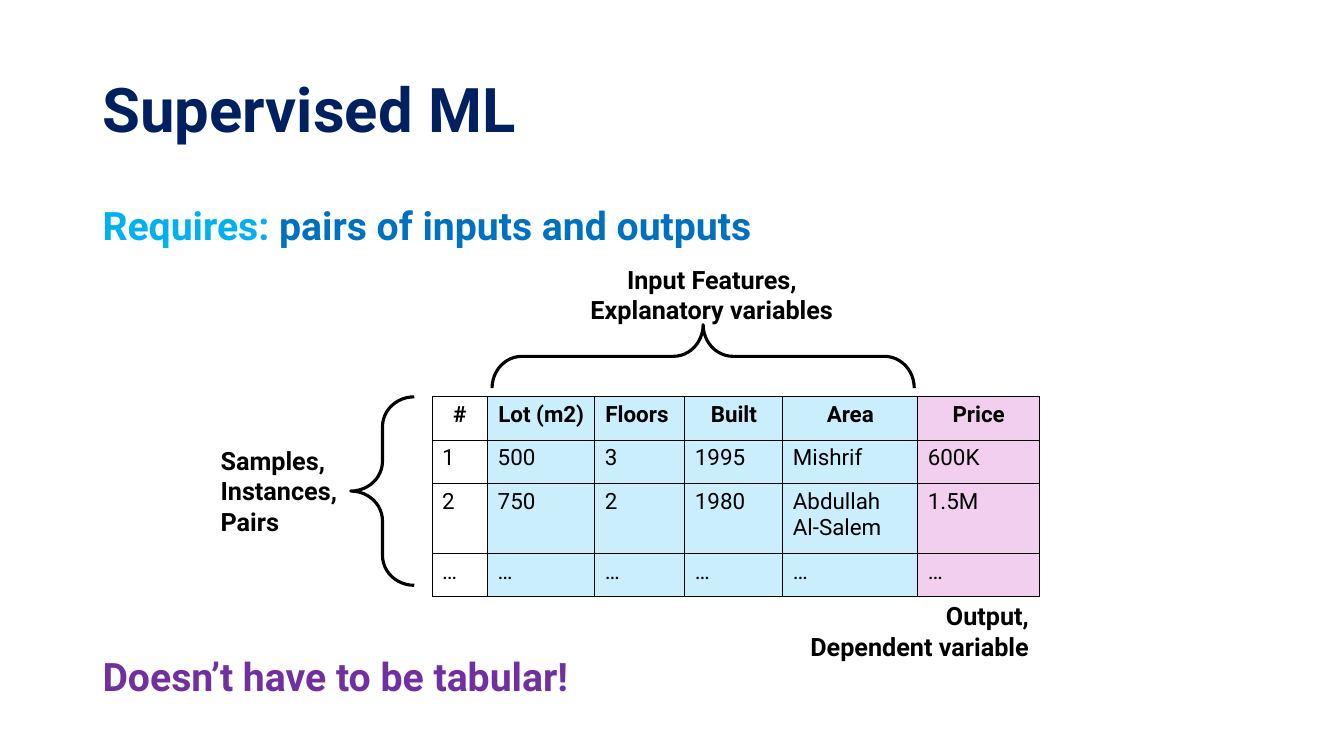
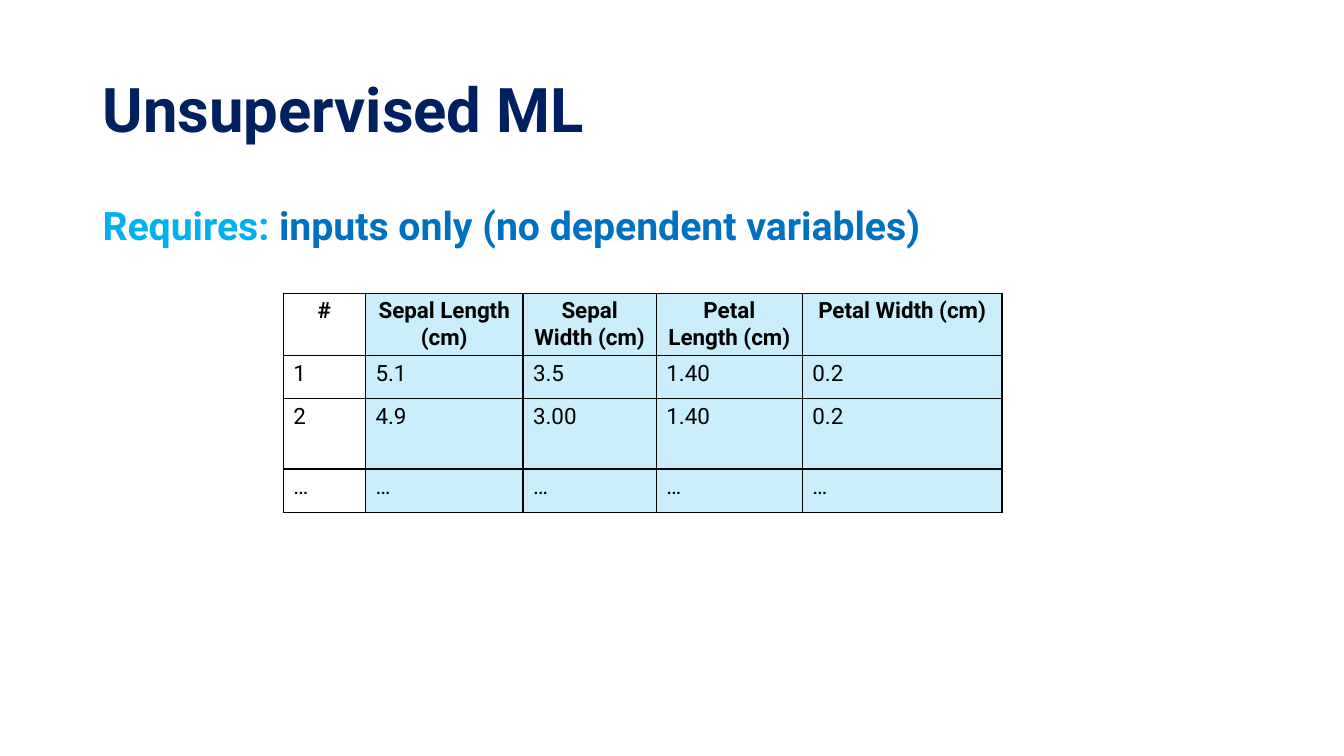
from lxml import etree
from pptx import Presentation
from pptx.dml.color import RGBColor
from pptx.enum import shapes, text
from pptx.oxml.ns import qn
from pptx.util import Cm, Pt

COLORS = {
    "title": "002060", "lead": "00B0F0", "statement": "0070C0",
    "remark": "7030A0", "ink": "000000", "input": "CAEEFB", "output": "F2CFEE",
}
FONT = "Roboto"
LEFT, CENTER, RIGHT = text.PP_ALIGN.LEFT, text.PP_ALIGN.CENTER, text.PP_ALIGN.RIGHT

# Formats shared by both slides
TITLE_BOX = (2.33, 1.01, 29.21, 3.67)
TITLE_FORMAT = {"alignment": LEFT, "line_spacing": 0.9}
BODY_FORMAT = {"alignment": LEFT, "line_spacing": 0.9, "space_before": Pt(10)}
FRAME_FORMAT = {"word_wrap": True, "auto_size": text.MSO_AUTO_SIZE.NONE}
TABLE_FORMAT = {"first_row": False, "horz_banding": False}


def rgb(name):
    return RGBColor.from_string(COLORS[name])


def apply(target, values):
    for attribute, value in values.items():
        setattr(target, attribute, value)


def place(shape, box):
    apply(shape, dict(zip(("left", "top", "width", "height"), map(Cm, box))))


def add_run(paragraph, words, size, color="ink", bold=True):
    run = paragraph.add_run()
    run.text = words
    apply(run.font, {"name": FONT, "size": Pt(size), "bold": bold})
    run.font.color.rgb = rgb(color)


def fill_title(slide, words):
    title = slide.shapes.title
    place(title, TITLE_BOX)
    apply(title.text_frame, FRAME_FORMAT)
    title.text_frame.vertical_anchor = text.MSO_ANCHOR.MIDDLE
    paragraph = title.text_frame.paragraphs[0]
    apply(paragraph, TITLE_FORMAT)
    add_run(paragraph, words, 44, "title")


def format_body_line(paragraph):
    apply(paragraph, BODY_FORMAT)
    properties = paragraph._p.get_or_add_pPr()
    properties.set("marL", "0")
    properties.set("indent", "0")
    etree.SubElement(properties, qn("a:buNone"))


def fill_body(slide, requirement, height, remark=None):
    body = slide.placeholders[1]
    place(body, (2.33, 5.08, 29.21, height))
    frame = body.text_frame
    apply(frame, FRAME_FORMAT)
    statement = frame.paragraphs[0]
    format_body_line(statement)
    add_run(statement, "Requires: ", 28, "lead")
    add_run(statement, requirement, 28, "statement")
    if remark:
        closing = frame.add_paragraph()
        format_body_line(closing)
        closing.space_before = Pt(292)  # leaves room for the table
        add_run(closing, remark, 28, "remark")


def add_borders(cell):
    properties = cell._tc.get_or_add_tcPr()
    for side in ("lnL", "lnR", "lnT", "lnB"):
        border = etree.SubElement(properties, qn(f"a:{side}"), w=str(Pt(1)))
        solid = etree.SubElement(border, qn("a:solidFill"))
        etree.SubElement(solid, qn("a:srgbClr"), val=COLORS["ink"])


def add_data_table(slide, corner, widths, heights, rows, fills):
    box = map(Cm, (*corner, sum(widths), sum(heights)))
    table = slide.shapes.add_table(len(rows), len(widths), *box).table
    apply(table, TABLE_FORMAT)
    for column, width in zip(table.columns, widths):
        column.width = Cm(width)
    for r, (height, values) in enumerate(zip(heights, rows)):
        table.rows[r].height = Cm(height)
        for c, (value, fill) in enumerate(zip(values, fills)):
            cell = table.cell(r, c)
            add_borders(cell)
            if fill:
                cell.fill.solid()
                cell.fill.fore_color.rgb = rgb(fill)
            else:
                cell.fill.background()
            paragraph = cell.text_frame.paragraphs[0]
            paragraph.alignment = LEFT if r else CENTER
            add_run(paragraph, value, 16, bold=r == 0)


def add_brace(slide, box, rotation=0):
    brace = slide.shapes.add_shape(shapes.MSO_SHAPE.LEFT_BRACE, *map(Cm, box))
    brace.rotation = rotation
    brace.adjustments[0] = 0.47
    brace.adjustments[1] = 0.5
    brace.shadow.inherit = False
    brace.fill.background()
    brace.line.color.rgb = rgb("ink")
    brace.line.width = Pt(2.25)


def add_label(slide, box, lines, alignment):
    frame = slide.shapes.add_textbox(*map(Cm, box)).text_frame
    apply(frame, FRAME_FORMAT)
    for i, line in enumerate(lines):
        paragraph = frame.add_paragraph() if i else frame.paragraphs[0]
        paragraph.alignment = alignment
        add_run(paragraph, line, 18)


def add_topic(deck, title, requirement, body_height, remark=None):
    slide = deck.slides.add_slide(deck.slide_layouts[1])
    fill_title(slide, title)
    fill_body(slide, requirement, body_height, remark)
    return slide


def main():
    deck = Presentation()
    apply(deck, {"slide_width": Cm(33.87), "slide_height": Cm(19.05)})

    # Supervised: houses with a price to predict
    supervised = add_topic(deck, "Supervised ML", "pairs of inputs and outputs",
                           13.41, "Doesn’t have to be tabular!")
    houses = [
        ("#", "Lot (m2)", "Floors ", "Built", "Area", "Price"),
        ("1", "500", "3", "1995", "Mishrif", "600K"),
        ("2", "750", "2", "1980", "Abdullah Al-Salem", "1.5M"),
        ("…",) * 6,
    ]
    add_data_table(supervised, (10.89, 10), (1.4, 2.7, 2.27, 2.47, 3.4, 3.07),
                   (1.09, 1.09, 1.77, 1.09), houses,
                   (None, *["input"] * 4, "output"))
    add_brace(supervised, (8.84, 10, 1.6, 4.75))
    add_label(supervised, (5.31, 11.1, 3.56, 2.57),
              ("Samples,", "Instances,", "Pairs"), LEFT)
    add_brace(supervised, (16.92, 3.66, 1.6, 10.64), rotation=90)
    add_label(supervised, (14.55, 6.53, 6.78, 1.8),
              ("Input Features,", "Explanatory variables"), CENTER)
    add_label(supervised, (19.96, 15.01, 6.22, 1.8),
              ("Output,", "Dependent variable"), RIGHT)

    # Unsupervised: flower measurements only
    unsupervised = add_topic(deck, "Unsupervised ML",
                             "inputs only (no dependent variables)", 12.09)
    flowers = [
        ("#", "Sepal Length (cm)", "Sepal Width (cm)", "Petal Length (cm)",
         "Petal Width (cm)"),
        ("1", "5.1", "3.5", "1.40", "0.2"),
        ("2", "4.9", "3.00", "1.40", "0.2"),
        ("…",) * 5,
    ]
    add_data_table(unsupervised, (7.14, 7.39), (2.07, 3.97, 3.36, 3.68, 5.03),
                   (1.57, 1.09, 1.77, 1.09), flowers, (None, *["input"] * 4))

    deck.save("out.pptx")


if __name__ == "__main__":
    main()
